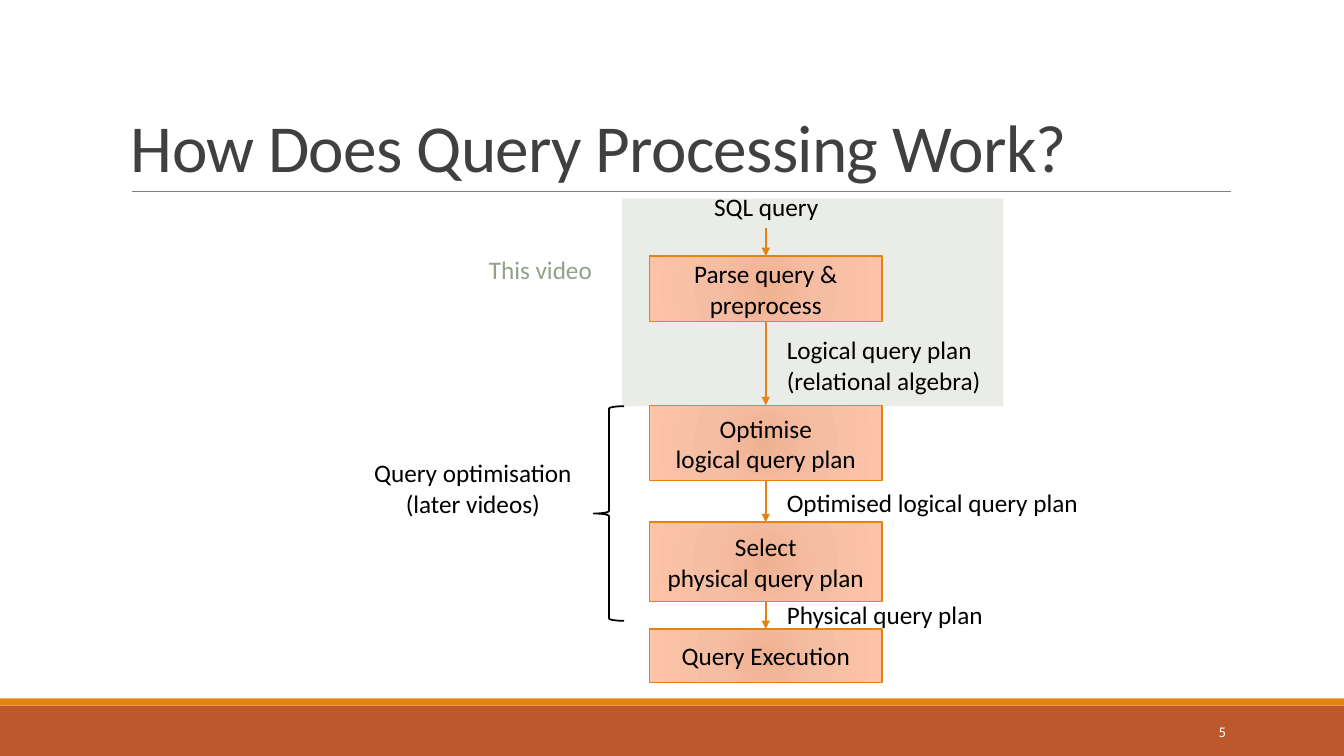
from lxml.etree import SubElement
from pptx import Presentation
from pptx.dml.color import RGBColor
from pptx.enum.shapes import MSO_CONNECTOR, MSO_SHAPE
from pptx.enum.text import MSO_ANCHOR, MSO_AUTO_SIZE, PP_ALIGN
from pptx.oxml.ns import qn
from pptx.util import Inches, Pt

FONT = "Calibri"
ORANGE = "E48312"
GRADIENT = [(0, "F0B191"), (45, "F5BEA4"), (100, "FDC3A8")]

# top, height, text of each processing step
STEPS = [
    (2.54, 0.65, "Parse query &\npreprocess"),
    (4.02, 0.75, "Optimise\nlogical query plan"),
    (5.18, 0.79, "Select\nphysical query plan"),
    (6.24, 0.53, "Query Execution"),
]
# top, width, height, text of what each step passes on
RESULTS = [
    (3.27, 2.15, 0.71, "Logical query plan\n(relational algebra)"),
    (4.79, 3.13, 0.4, "Optimised logical query plan"),
    (5.9, 2.17, 0.4, "Physical query plan"),
]


def rgb(color):
    return RGBColor.from_string(color)


def write(shape, text, size=18, color="000000", align=PP_ALIGN.LEFT,
          anchor=MSO_ANCHOR.TOP):
    """Fill a shape with one paragraph and return the paragraph."""
    tf = shape.text_frame
    tf.vertical_anchor = anchor
    p = tf.paragraphs[0]
    p.text = text
    p.alignment = align
    for r in p.runs:
        r.font.name = FONT
        r.font.size = Pt(size)
        r.font.color.rgb = rgb(color)
    return p


def add_label(s, box, text, color="000000", align=PP_ALIGN.LEFT):
    tb = s.shapes.add_textbox(*map(Inches, box))
    tb.text_frame.word_wrap = False
    tb.text_frame.auto_size = MSO_AUTO_SIZE.SHAPE_TO_FIT_TEXT
    write(tb, text, color=color, align=align)


def add_block(s, box, fill):
    sp = s.shapes.add_shape(MSO_SHAPE.RECTANGLE, *map(Inches, box))
    sp.shadow.inherit = False
    sp.fill.solid()
    sp.fill.fore_color.rgb = rgb(fill)
    sp.line.fill.background()
    return sp


def add_line(s, start, end, color, width, arrow=False):
    line = s.shapes.add_connector(
        MSO_CONNECTOR.STRAIGHT, *map(Inches, (*start, *end)))
    line.line.color.rgb = rgb(color)
    line.line.width = Pt(width)
    if arrow:
        SubElement(line.line._get_or_add_ln(), qn("a:tailEnd"), type="triangle")
    SubElement(line._element.spPr, qn("a:effectLst"))


def set_radial_fill(sp):
    sp.fill.gradient()
    grad = sp._element.spPr.find(qn("a:gradFill"))
    for child in list(grad):
        grad.remove(child)
    stops = SubElement(grad, qn("a:gsLst"))
    for position, color in GRADIENT:
        stop = SubElement(stops, qn("a:gs"), pos=str(position * 1000))
        SubElement(stop, qn("a:srgbClr"), val=color)
    circle = SubElement(grad, qn("a:path"), path="circle")
    SubElement(circle, qn("a:fillToRect"),
               {side: "100000" for side in "ltrb"})


def add_step(s, box, text):
    sp = add_block(s, box, "FDC3A8")
    set_radial_fill(sp)
    sp.line.color.rgb = rgb(ORANGE)
    sp.line.width = Pt(1)
    write(sp, text, align=PP_ALIGN.CENTER, anchor=MSO_ANCHOR.MIDDLE)


def add_title(s, left, top, width, height, text):
    tb = s.shapes.add_textbox(*map(Inches, (left, top, width, height)))
    tb.text_frame.word_wrap = True
    p = write(tb, text, 48, "404040", anchor=MSO_ANCHOR.BOTTOM)
    p.line_spacing = 0.85
    p.runs[0].font._element.set("spc", "-50")
    bottom = top + height
    add_line(s, (left + 0.11, bottom), (left + 11.01, bottom), "808080", 0.5)


def add_footer(s, left, top, width, height, number):
    add_block(s, (left, top, width, height), "BD582C")
    add_block(s, (left, top - 0.07, width, 0.07), ORANGE)
    tb = s.shapes.add_textbox(
        *map(Inches, (left + width - 2.5, top + 0.06, 1.43, 0.4)))
    write(tb, number, 10.5, "FFFFFF", PP_ALIGN.RIGHT, MSO_ANCHOR.MIDDLE)


def add_flow(s, left, width):
    """Stack the steps in one column, with arrows and results between them."""
    middle = left + width / 2
    add_label(s, (middle - 0.62, 1.85, 1.25, 0.4), "SQL query",
              align=PP_ALIGN.CENTER)
    arrow_start = 2.26
    for top, height, text in STEPS:
        add_step(s, (left, top, width, height), text)
        add_line(s, (middle, arrow_start), (middle, top), ORANGE, 1.25, True)
        arrow_start = top + height
    for top, label_width, height, text in RESULTS:
        add_label(s, (middle + 0.11, top, label_width, height), text)


def add_later_videos(s, left, top, width, height):
    brace = s.shapes.add_shape(
        MSO_SHAPE.LEFT_BRACE,
        *map(Inches, (left + width - 0.3, top, 0.3, height)))
    brace.shadow.inherit = False
    brace.fill.background()
    brace.line.color.rgb = rgb("000000")
    brace.line.width = Pt(1.25)
    add_label(s, (left, top + 0.46, 2.18, 0.71),
              "Query optimisation\n(later videos)", align=PP_ALIGN.CENTER)


def main():
    prs = Presentation()
    prs.slide_width, prs.slide_height = Inches(13.33), Inches(7.5)
    s = prs.slides.add_slide(prs.slide_layouts[6])
    add_footer(s, 0, 7, 13.33, 0.5, "5")
    add_block(s, (6.17, 1.97, 3.78, 2.06), "EAECE7")
    add_title(s, 1.2, 0.31, 11, 1.59, "How Does Query Processing Work?")
    add_flow(s, 6.44, 2.31)
    add_later_videos(s, 3.6, 4.03, 2.59, 2.13)
    add_label(s, (4.74, 2.47, 1.24, 0.4), "This video", "94A088",
              PP_ALIGN.CENTER)
    prs.save("out.pptx")


if __name__ == "__main__":
    main()
